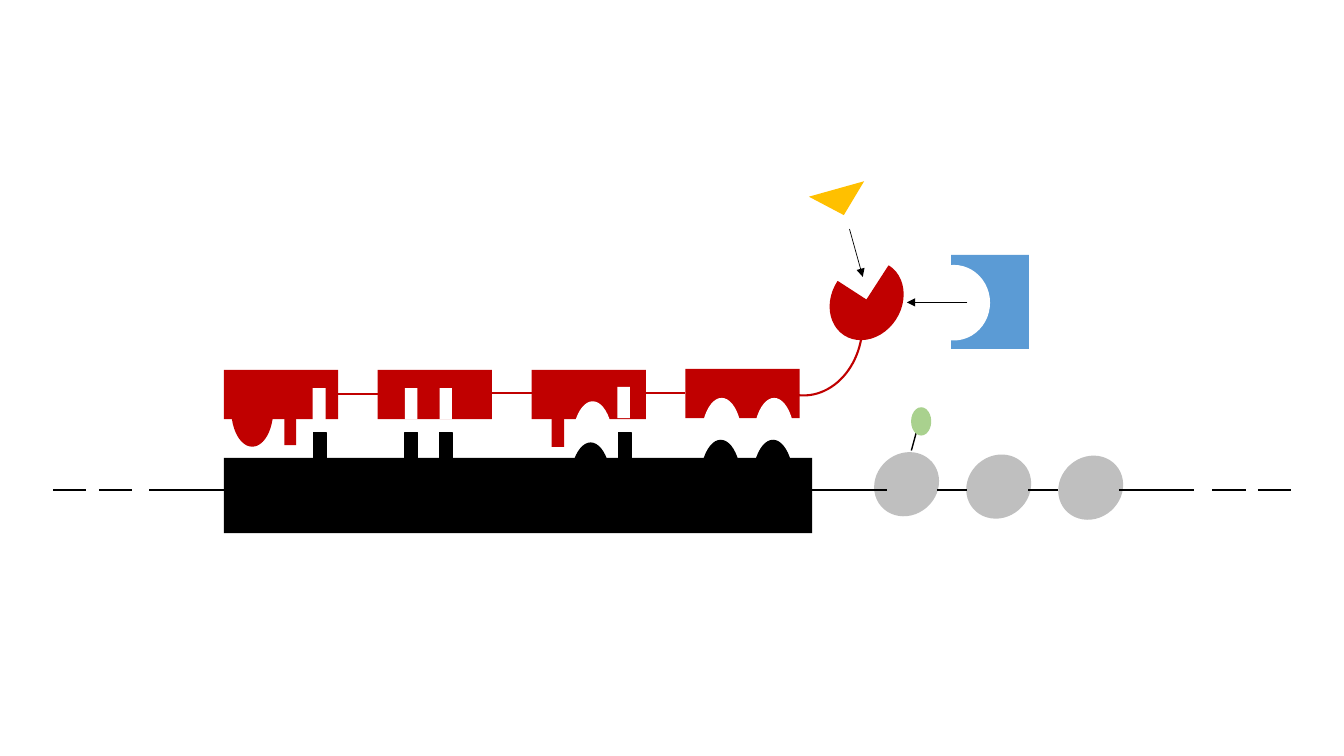
from pptx import Presentation
from pptx.dml.color import RGBColor
from pptx.enum.shapes import MSO_CONNECTOR, MSO_SHAPE
from pptx.oxml.ns import qn
from pptx.util import Pt
from lxml.etree import SubElement

RED, BLACK, WHITE = "C00000", "000000", "FFFFFF"
GREY, BLUE, GOLD, GREEN = "BFBFBF", "5B9BD5", "FFC000", "A9D18E"
RECT, OVAL = MSO_SHAPE.RECTANGLE, MSO_SHAPE.OVAL

BLOCK_X, BLOCK_GAP, BLOCK_W, BLOCK_H = 159.9, 109.9, 81.6, 35.2
BLOCK_Y = [264.3, 264.3, 264.3, 263.6]
PEG_W, DOME_W, DOME_H = 8.9, 30, 63.3
AXIS = 350

TEETH = [
    (OVAL, 165.2, 266.6, 30, 52.5, RED),
    (RECT, 203.1, 265.5, 8.5, 52.5, RED),
    (RECT, 223.3, 277.3, 9.4, 23.6, WHITE),
    (RECT, 289.3, 277.3, PEG_W, 22.2, WHITE),
    (RECT, 314, 277.3, PEG_W, 22.2, WHITE),
    (RECT, 394.1, 287.4, PEG_W, 31.8, RED),
    (RECT, 441, 276.4, PEG_W, 22.2, WHITE),
]
HOLES = [(408.4, 286.6), (500.5, 284.2), (538, 284.2)]
DOMES = [(406.9, 316), (499.8, 314.1), (537.2, 314.1)]
PEGS = [224, 289.4, 313.9, 442]
BASE = (159.9, 327.1, 420.2, 53.7)
BEADS = [(623.5, 323.9), (689.3, 325.6), (755, 326.4)]
LINKS = [(241.3, 269.9, 281.4), (351.2, 379.7, 280.7), (461.1, 489.6, 280.7)]
STRAND = [(106.6, 159.9), (70.7, 94.5), (38, 61.7), (580.1, 633.5),
          (669.4, 690.9), (734.5, 755.5), (799.3, 852.7),
          (898.5, 922.2), (866, 889.7)]
ARROWS = [(691, 216, 647.8, 216), (606.8, 163.6, 616.3, 197.8)]


def paint(hue):
    return RGBColor.from_string(hue)


def draw(kind, x, y, w, h, fill=None, line=None, width=1, turn=0):
    shape = slide.shapes.add_shape(kind, Pt(x), Pt(y), Pt(w), Pt(h))
    shape.shadow.inherit = False
    shape.rotation = turn
    if fill:
        shape.fill.solid()
        shape.fill.fore_color.rgb = paint(fill)
    else:
        shape.fill.background()
    if line:
        shape.line.color.rgb = paint(line)
        shape.line.width = Pt(width)
    else:
        shape.line.fill.background()


def join(x1, y1, x2, y2, hue=BLACK, width=1.5, arrow=False):
    wire = slide.shapes.add_connector(
        MSO_CONNECTOR.STRAIGHT, Pt(x1), Pt(y1), Pt(x2), Pt(y2))
    wire.line.color.rgb = paint(hue)
    wire.line.width = Pt(width)
    if arrow:
        SubElement(wire.line._get_or_add_ln(), qn("a:tailEnd"), type="triangle")
    SubElement(wire._element.spPr, qn("a:effectLst"))


deck = Presentation()
deck.slide_width, deck.slide_height = Pt(960), Pt(540)
slide = deck.slides.add_slide(deck.slide_layouts[6])

for i, y in enumerate(BLOCK_Y):
    draw(RECT, BLOCK_X + i * BLOCK_GAP, y, BLOCK_W, BLOCK_H, RED)
for tooth in TEETH:
    draw(*tooth)
for x, y in HOLES:
    draw(OVAL, x, y, DOME_W, DOME_H, WHITE)

draw(RECT, *BASE, BLACK)
for x in PEGS:
    draw(RECT, x, 309, PEG_W, 62, BLACK, BLACK)
for x, y in DOMES:
    draw(OVAL, x, y, DOME_W, DOME_H, BLACK)

for x1, x2, y in LINKS:
    join(x1, y, x2, y, RED)

draw(MSO_SHAPE.ARC, 527, 193.7, 97.2, 80.6, None, RED, 1.5, 96.2)
draw(MSO_SHAPE.ISOSCELES_TRIANGLE, 579.6, 134.6, 41, 19.4, GOLD, turn=164.4)
draw(RECT, 679.5, 182, 55.5, 67.2, BLUE)
draw(OVAL, 655.4, 189.2, 51.8, 54, WHITE)
draw(MSO_SHAPE.PIE, 589.9, 190.1, 58.3, 49, RED, RED, turn=302.9)
for arrow in ARROWS:
    join(*arrow, width=0.5, arrow=True)

for x, y in BEADS:
    draw(OVAL, x, y, 48.2, 43.9, GREY, turn=318.8)
for x1, x2 in STRAND:
    join(x1, AXIS, x2, AXIS)
join(651, 321.8, 654.5, 308.9, width=1)
draw(OVAL, 650.8, 290.9, 14.4, 20.2, GREEN)

deck.save("out.pptx")
